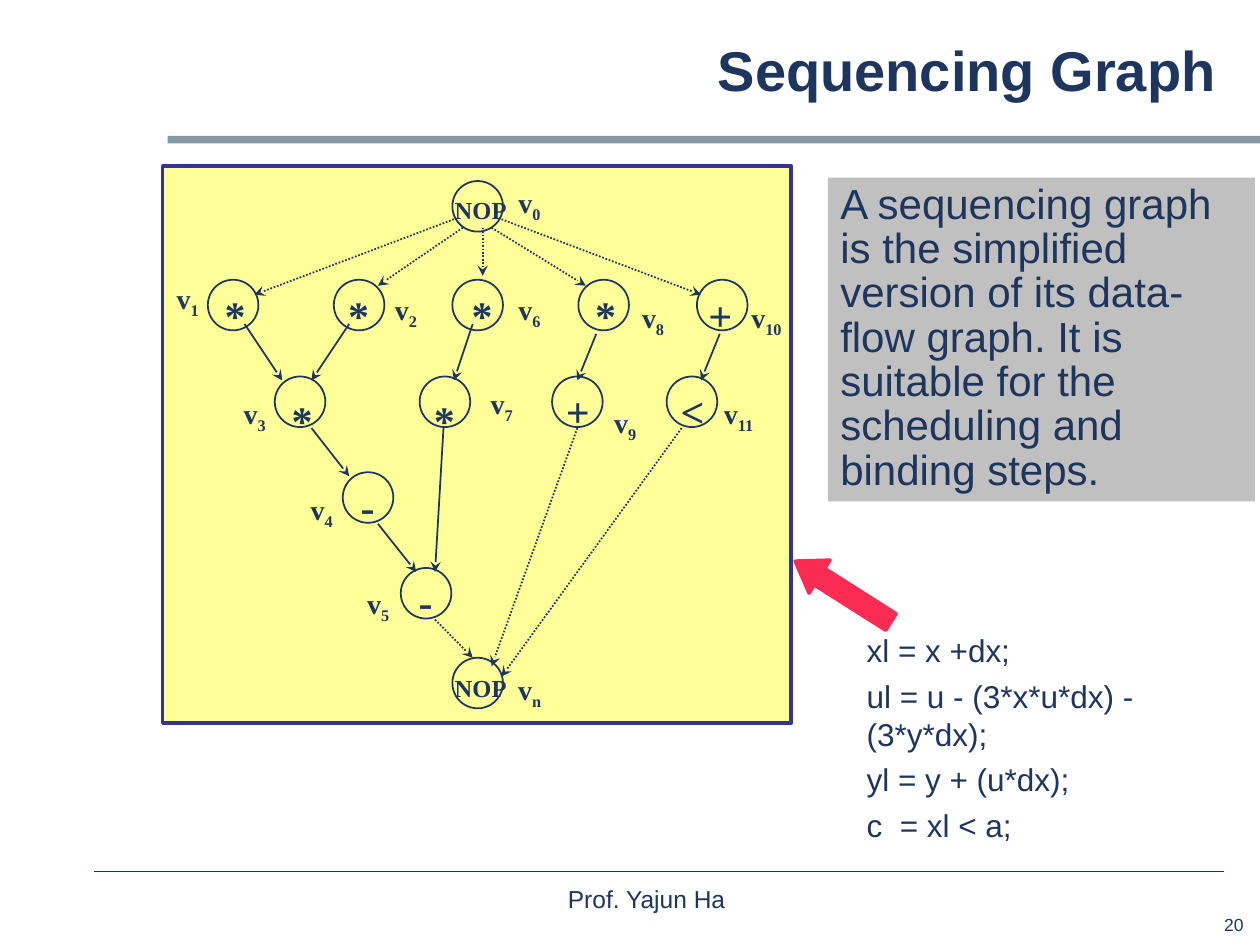
from lxml import etree
from pptx import Presentation
from pptx import util as u
from pptx.dml.color import RGBColor
from pptx.enum import dml, shapes, text
from pptx.oxml import ns

COLOURS = {
    "navy": "1E355E",
    "slate": "8499A5",
    "panel": "FFFF99",
    "frame": "333399",
    "grey": "C0C0C0",
    "red": "FA2C53",
}
SANS, SERIF = "Arial", "Times New Roman"
LEFT, CENTRE, RIGHT = text.PP_ALIGN.LEFT, text.PP_ALIGN.CENTER, text.PP_ALIGN.RIGHT
NODE_SIZE = 1.02

# name: (left, top), operator, operator shift, label shift
NODES = {
    "0": ((5.84, 0.30), "NOP", (0.06, 0.15), (1.07, -0.03)),
    "1": ((0.91, 2.29), "*", (0.04, 0.08), (-0.89, -0.08)),
    "2": ((3.45, 2.29), "*", (-0.01, 0.08), (0.97, 0.13)),
    "6": ((5.84, 2.29), "*", (0.09, 0.08), (1.07, 0.13)),
    "8": ((8.38, 2.29), "*", (0.04, 0.08), (1.02, 0.30)),
    "10": ((10.77, 2.29), "+", (-0.06, 0.08), (0.84, 0.30)),
    "3": ((2.26, 4.24), "*", (0.04, 0.23), (-0.89, 0.28)),
    "7": ((5.18, 4.24), "*", (-0.01, 0.23), (1.17, 0.08)),
    "9": ((7.85, 4.24), "+", (-0.01, 0.05), (0.99, 0.46)),
    "11": ((10.16, 4.24), "<", (-0.01, 0.05), (0.89, 0.28)),
    "4": ((3.63, 6.17), "-", (-0.01, 0.05), (-0.91, 0.28)),
    "5": ((4.80, 8.10), "-", (-0.01, 0.03), (-0.94, 0.25)),
    "n": ((5.84, 9.91), "NOP", (0.06, 0.18), (1.07, 0.18)),
}
DOTTED_EDGES = [
    (5.87, 1.07, 1.85, 2.59),
    (6.83, 1.07, 10.85, 2.59),
    (6.05, 1.24, 4.34, 2.41),
    (6.45, 1.24, 6.45, 2.21),
    (6.63, 1.24, 8.53, 2.41),
    (5.49, 9.14, 6.25, 9.91),
    (8.36, 5.28, 6.63, 10.08),
    (10.46, 5.28, 6.83, 10.29),
]
SOLID_EDGES = [
    (1.65, 3.18, 2.41, 4.32),
    (3.76, 3.18, 3.00, 4.32),
    (6.25, 3.18, 5.87, 4.32),
    (8.74, 3.38, 8.36, 4.32),
    (11.23, 3.38, 10.85, 4.32),
    (3.00, 5.28, 3.76, 6.25),
    (4.34, 7.21, 5.11, 8.18),
    (5.66, 5.28, 5.49, 8.18),
]
CODE = ["xl = x +dx;", "ul = u - (3*x*u*dx) - (3*y*dx);", "yl = y + (u*dx);", "c  = xl < a;"]


def colour(name):
    return RGBColor.from_string(COLOURS[name])


def add_form(page, kind, box, fill=None, line=None, width=1):
    form = page.shapes.add_shape(kind, *map(u.Cm, box))
    form.shadow.inherit = False
    if fill:
        form.fill.solid()
        form.fill.fore_color.rgb = colour(fill)
    else:
        form.fill.background()
    if line:
        form.line.color.rgb = colour(line)
        form.line.width = u.Pt(width)
    else:
        form.line.fill.background()
    return form


def add_line(page, start, end, width=1, dotted=False, arrow=False):
    line = page.shapes.add_connector(shapes.MSO_CONNECTOR.STRAIGHT, *map(u.Cm, start + end))
    line.line.color.rgb = colour("navy")
    line.line.width = u.Pt(width)
    if dotted:
        line.line.dash_style = dml.MSO_LINE.ROUND_DOT
    if arrow:
        etree.SubElement(line.line._get_or_add_ln(), ns.qn("a:tailEnd"), type="stealth")
    etree.SubElement(line._element.spPr, ns.qn("a:effectLst"))


def write(box, lines, size, font=SANS, bold=False, align=LEFT, wrap=True, middle=False,
          spacing=None, before=0, indent=0, subscript=None):
    frame = box.text_frame
    frame.word_wrap = wrap
    frame.vertical_anchor = text.MSO_ANCHOR.MIDDLE if middle else text.MSO_ANCHOR.TOP
    for index, words in enumerate(lines):
        para = frame.add_paragraph() if index else frame.paragraphs[0]
        para.alignment = align
        if spacing:
            para.line_spacing = spacing
        if index and before:
            para.space_before = u.Pt(before)
        if indent:
            para._p.get_or_add_pPr().set("marL", str(u.Cm(indent)))
        for part in filter(None, (words, subscript)):
            span = para.add_run()
            span.text = part
            span.font.size = u.Pt(size)
            span.font.name = font
            span.font.bold = bold
            span.font.color.rgb = colour("navy")
            if part is subscript:
                span.font._element.set("baseline", "-25000")


def add_text(page, box, lines, size, **look):
    write(page.shapes.add_textbox(*map(u.Cm, box)), lines, size, **look)


def add_header(page, box):
    left, top, width, height = box
    add_form(page, shapes.MSO_SHAPE.RECTANGLE, (left, top + 2.31, 22.02, 0.15), fill="slate")
    add_text(page, (left, top, width, height), ["Sequencing Graph"], 32,
             bold=True, align=RIGHT, middle=True, spacing=0.88)


def add_footer(page, box):
    left, top, width, height = box
    add_line(page, (left, top), (left + width, top), width=0.75)
    add_text(page, (left + 6.86, top + 0.13, 8.69, 1.07), ["Prof. Yajun Ha "], 14,
             align=CENTRE, wrap=False)
    add_text(page, (left + 21.77, top + 0.74, 1.65, 0.66), ["20"], 10, align=RIGHT, wrap=False)


def add_node(page, left, top, name, operator, operator_shift, label_shift):
    add_form(page, shapes.MSO_SHAPE.OVAL, (left, top, NODE_SIZE, NODE_SIZE), line="navy")
    width, height, size = (1.55, 0.84, 14) if operator == "NOP" else (0.94, 1.27, 24)
    operator_left = left + (NODE_SIZE - width) / 2 + operator_shift[0]
    look = dict(font=SERIF, bold=True, align=CENTRE, wrap=False)
    add_text(page, (operator_left, top + operator_shift[1], width, height),
             [operator], size, **look)
    label_width = 0.82 + 0.15 * len(name)
    add_text(page, (left + label_shift[0], top + label_shift[1], label_width, 1.02),
             ["v"], 16, subscript=name, **look)


def add_graph(page, box):
    left, top, width, height = box
    add_form(page, shapes.MSO_SHAPE.RECTANGLE, box, fill="panel", line="frame", width=2)
    for edges, dotted in ((DOTTED_EDGES, True), (SOLID_EDGES, False)):
        for x1, y1, x2, y2 in edges:
            add_line(page, (left + x1, top + y1), (left + x2, top + y2),
                     dotted=dotted, arrow=True)
    for name, ((x, y), *details) in NODES.items():
        add_node(page, left + x, top + y, name, *details)


def add_explanation(page, box):
    note = add_form(page, shapes.MSO_SHAPE.RECTANGLE, box, fill="grey")
    write(note, ["A sequencing graph is the simplified version of its data-flow graph. "
                 "It is suitable for the scheduling and binding steps."], 24, spacing=0.88)


def add_code(page, box):
    left, top, width, height = box
    add_text(page, box, CODE, 18, before=4.5, indent=1.27)
    arrow = add_form(page, shapes.MSO_SHAPE.RIGHT_ARROW, (left - 0.1, top - 1.07, 2.29, 0.79),
                     fill="red", line="red", width=2)
    arrow.adjustments[0] = 0.5
    arrow.adjustments[1] = 0.74
    arrow.rotation = 212.4


def main():
    deck = Presentation()
    deck.slide_width, deck.slide_height = u.Cm(25.4), u.Cm(19.05)
    page = deck.slides.add_slide(deck.slide_layouts[6])
    add_header(page, (3.38, 0.43, 21.39, 2.11))
    add_footer(page, (1.9, 17.57, 22.78, 1.4))
    add_graph(page, (3.28, 3.35, 12.67, 11.23))
    add_code(page, (15.95, 12.6, 9.04, 5.31))
    add_explanation(page, (16.69, 3.58, 8.61, 6.53))
    deck.save("out.pptx")


if __name__ == "__main__":
    main()
